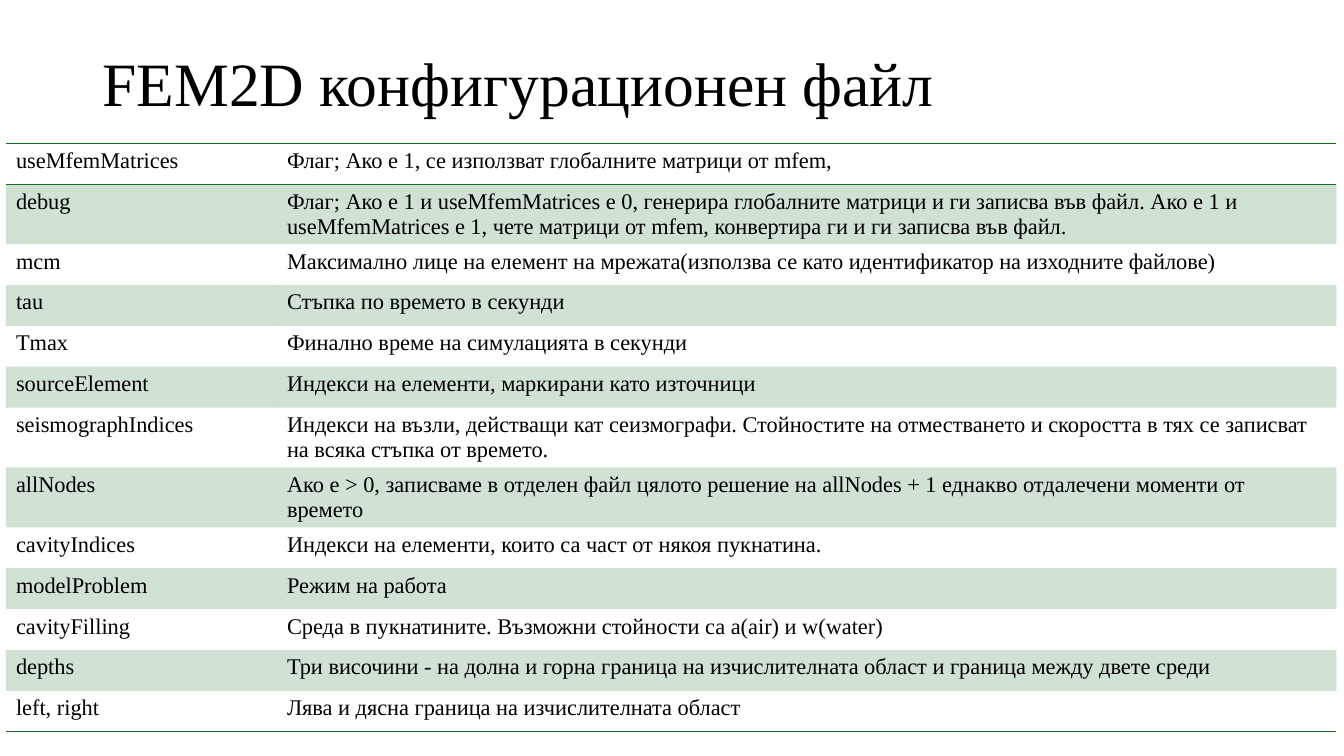
import pptx
import pptx.util
import pptx.dml.color
import pptx.enum.text
import pptx.oxml
import pptx.oxml.ns
from pptx.util import Cm

HEADING = "FEM2D конфигурационен файл"
PARAMETERS = [
    ("useMfemMatrices", "Флаг; Ако е 1, се използват глобалните матрици от mfem,"),
    ("debug", "Флаг; Ако е 1 и useMfemMatrices е 0, генерира глобалните матрици и ги записва във файл. "
              "Ако е 1 и useMfemMatrices е 1, чете матрици от mfem, конвертира ги и ги записва във файл."),
    ("mcm", "Максимално лице на елемент на мрежата(използва се като идентификатор на изходните файлове)"),
    ("tau", "Стъпка по времето в секунди"),
    ("Tmax", "Финално време на симулацията в секунди"),
    ("sourceElement", "Индекси на елементи, маркирани като източници"),
    ("seismographIndices", "Индекси на възли, действащи кат сеизмографи. Стойностите на отместването "
                           "и скоростта в тях се записват на всяка стъпка от времето."),
    ("allNodes", "Ако е > 0, записваме в отделен файл цялото решение на allNodes + 1 "
                 "еднакво отдалечени моменти от времето"),
    ("cavityIndices", "Индекси на елементи, които са част от някоя пукнатина."),
    ("modelProblem", "Режим на работа"),
    ("cavityFilling", "Среда в пукнатините. Възможни стойности са a(air) и w(water)"),
    ("depths", "Три височини - на долна и горна граница на изчислителната област и граница между двете среди"),
    ("left, right", "Лява и дясна граница на изчислителната област"),
]

BLACK = pptx.dml.color.RGBColor(0x00, 0x00, 0x00)
GREEN = pptx.dml.color.RGBColor(0x19, 0x6B, 0x24)
BAND_ALPHA = 20000
PLAIN_STYLE = "{2D5ABB26-0587-4C30-8999-92F81FD0307C}"
COLUMN_WIDTHS = (Cm(6.83), Cm(26.7))
ROW_HEIGHT = Cm(1.03)
HEADING_FONT = {"name": "Times New Roman", "size": pptx.util.Pt(44)}
PARAMETER_FONT = {"name": "Times New Roman", "size": pptx.util.Pt(16)}
HEADING_PLACE = {"left": Cm(2.33), "top": Cm(0.33), "width": Cm(29.21), "height": Cm(3.68)}
HEADING_FRAME = {"vertical_anchor": pptx.enum.text.MSO_ANCHOR.MIDDLE, "word_wrap": True,
                 "auto_size": pptx.enum.text.MSO_AUTO_SIZE.NONE}
HEADING_PARAGRAPH = {"alignment": pptx.enum.text.PP_ALIGN.LEFT, "line_spacing": 0.9}


def apply(target, values):
    for key, value in values.items():
        setattr(target, key, value)


def write(paragraph, text, font):
    run = paragraph.add_run()
    run.text = text
    apply(run.font, font)
    run.font.color.rgb = BLACK


def fill_band(cell):
    cell.fill.solid()
    cell.fill.fore_color.rgb = GREEN
    colour = cell._tc.tcPr.find(".//" + pptx.oxml.ns.qn("a:srgbClr"))
    colour.append(pptx.oxml.parse_xml(
        f'<a:alpha {pptx.oxml.ns.nsdecls("a")} val="{BAND_ALPHA}"/>'))


def add_rules(cell, edges):
    for index, edge in enumerate(edges):
        cell._tc.get_or_add_tcPr().insert(index, pptx.oxml.parse_xml(
            f'<a:{edge} {pptx.oxml.ns.nsdecls("a")} w="12700"><a:solidFill>'
            f'<a:srgbClr val="{GREEN}"/></a:solidFill></a:{edge}>'))


def main():
    deck = pptx.Presentation()
    apply(deck, {"slide_width": Cm(33.87), "slide_height": Cm(19.05)})
    slide = deck.slides.add_slide(deck.slide_layouts[5])

    heading = slide.shapes.title
    apply(heading, HEADING_PLACE)
    apply(heading.text_frame, HEADING_FRAME)
    apply(heading.text_frame.paragraphs[0], HEADING_PARAGRAPH)
    write(heading.text_frame.paragraphs[0], HEADING, HEADING_FONT)

    parameters = slide.shapes.add_table(
        len(PARAMETERS), len(COLUMN_WIDTHS), Cm(0.15), Cm(3.61),
        sum(COLUMN_WIDTHS), ROW_HEIGHT * len(PARAMETERS)).table
    apply(parameters, {"first_row": False, "horz_banding": False})
    parameters._tbl.tblPr.find(pptx.oxml.ns.qn("a:tableStyleId")).text = PLAIN_STYLE
    for column, width in zip(parameters.columns, COLUMN_WIDTHS):
        column.width = width

    rules = {0: ("lnT", "lnB"), len(PARAMETERS) - 1: ("lnB",)}
    for number, entry in enumerate(PARAMETERS):
        parameters.rows[number].height = ROW_HEIGHT
        for cell, text in zip(parameters.rows[number].cells, entry):
            write(cell.text_frame.paragraphs[0], text, PARAMETER_FONT)
            if number % 2:
                fill_band(cell)
            else:
                cell.fill.background()
            add_rules(cell, rules.get(number, ()))

    deck.save("out.pptx")


if __name__ == "__main__":
    main()
